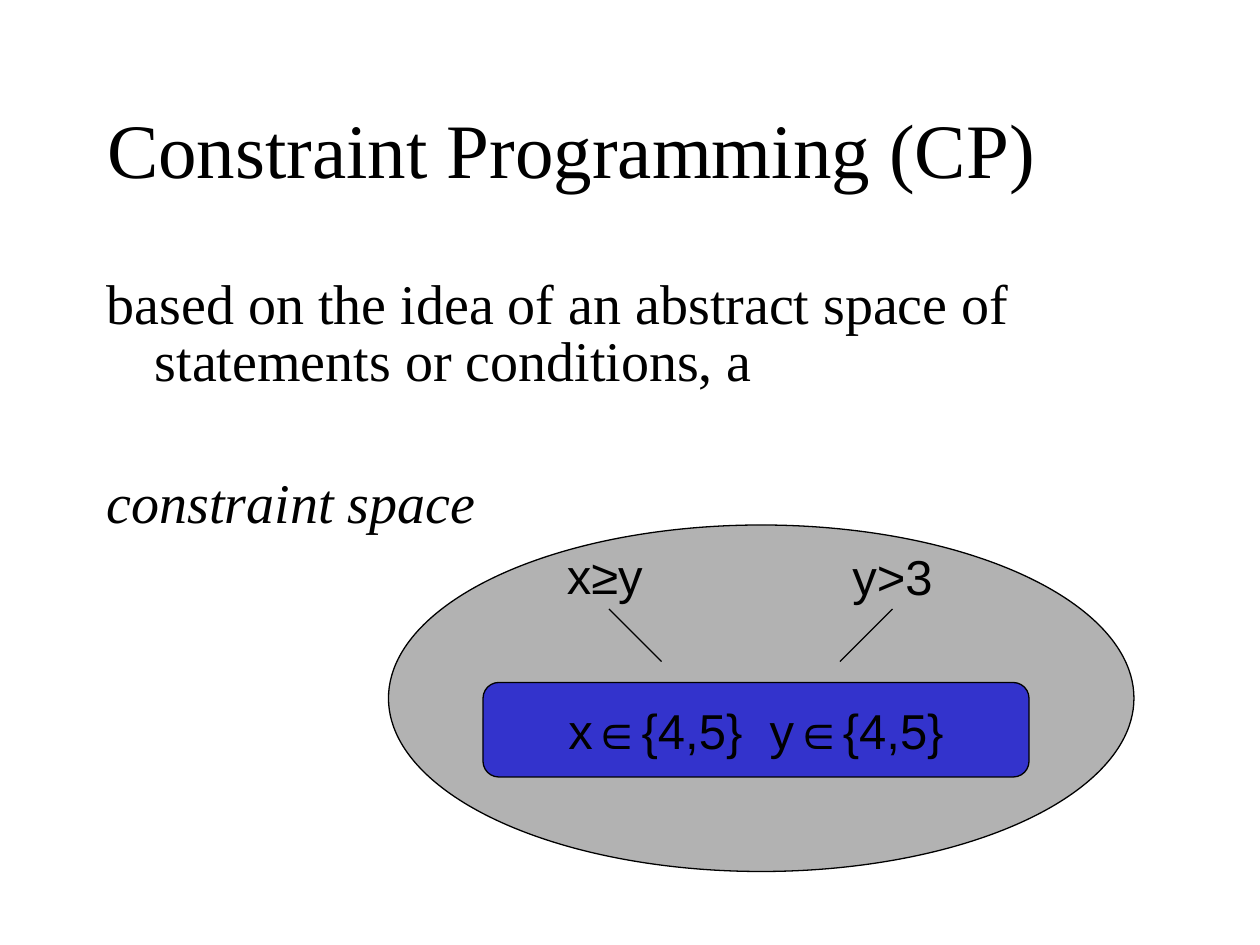
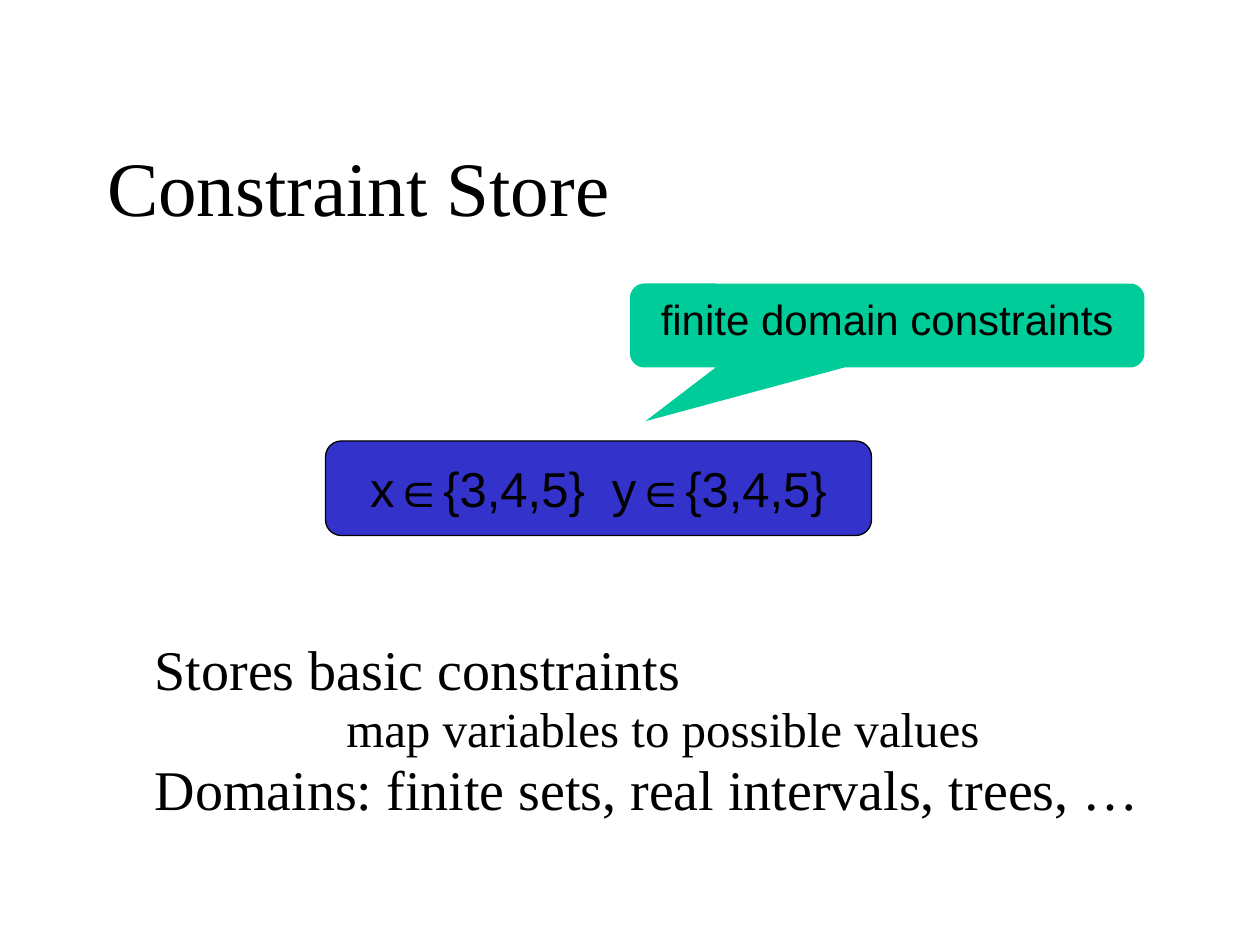
from pptx import Presentation
from pptx.dml.color import RGBColor
from pptx.enum.shapes import MSO_CONNECTOR, MSO_SHAPE
from pptx.enum.text import MSO_ANCHOR, MSO_AUTO_SIZE, PP_ALIGN
from pptx.oxml.ns import qn
from pptx.util import Inches, Pt
from lxml import etree

LINE = MSO_CONNECTOR.STRAIGHT
OVAL = MSO_SHAPE.OVAL
ROUND = MSO_SHAPE.ROUNDED_RECTANGLE
BUBBLE = MSO_SHAPE.ROUNDED_RECTANGULAR_CALLOUT
MIDDLE, TOP = MSO_ANCHOR.MIDDLE, MSO_ANCHOR.TOP
LEFT, CENTER = PP_ALIGN.LEFT, PP_ALIGN.CENTER
FIXED = MSO_AUTO_SIZE.NONE

# Shared look
SERIF, SANS = "Times New Roman", "Arial"
BLACK, GREY, BLUE, GREEN = "000000", "B2B2B2", "3333CC", "00CC99"
EDGE, SPAN = 9, 102  # text column, in grid cells
STEP = 0.38  # indent in inches
TITLE_ONLY = 5


def color(code):
    return RGBColor.from_string(code)


def cells(*counts):
    """Turn counts of grid cells, twelve to the inch, into lengths."""
    return [Inches(count / 12) for count in counts]


def style(para, size, font, align=LEFT, italic=False):
    para.alignment = align
    for run in para.runs:
        run.font.size = Pt(size)
        run.font.name = font
        run.font.italic = italic
        run.font.color.rgb = color(BLACK)


def space(para, before, line):
    para.space_before = Pt(before)
    para.line_spacing = line


def indent(para, left, first=0):
    props = para._p.get_or_add_pPr()
    props.set("marL", str(Inches(left)))
    props.set("indent", str(Inches(first)))


def add_slide(deck, title, top, height):
    slide = deck.slides.add_slide(deck.slide_layouts[TITLE_ONLY])
    head = slide.shapes.title
    head.left, head.top, head.width, head.height = cells(EDGE, top, SPAN, height)
    frame = head.text_frame
    frame.text = title
    frame.auto_size = FIXED
    frame.vertical_anchor = MIDDLE
    para = frame.paragraphs[0]
    style(para, 44, SERIF)
    space(para, 11, 0.85)
    return slide


def add_body(slide, top, height, line, rows):
    """Each row is text, size, space before, left, first indent, italic."""
    box = slide.shapes.add_textbox(*cells(EDGE, top, SPAN, height))
    frame = box.text_frame
    frame.word_wrap = True
    frame.text = "\n".join(row[0] for row in rows)
    for para, row in zip(frame.paragraphs, rows):
        _, size, before, left, first, italic = row
        style(para, size, SERIF, italic=italic)
        space(para, before, line)
        indent(para, left, first)


def add_shape(shapes, kind, area, fill, edge=True):
    shape = shapes.add_shape(kind, *cells(*area))
    shape.shadow.inherit = False
    shape.fill.solid()
    shape.fill.fore_color.rgb = color(fill)
    if edge:
        shape.line.color.rgb = color(BLACK)
        shape.line.width = Pt(0.75)
    else:
        shape.line.fill.background()
    return shape


def add_label(shape, text, size, align=CENTER, anchor=MIDDLE, wrap=False):
    frame = shape.text_frame
    frame.text = text
    frame.word_wrap = wrap
    frame.vertical_anchor = anchor
    style(frame.paragraphs[0], size, SANS, align)


def add_store(shapes, left, top, text):
    store = add_shape(shapes, ROUND, (left, top, 52, 9), BLUE)
    add_label(store, text, 28)


def add_term(shapes, area, text):
    add_label(shapes.add_textbox(*cells(*area)), text, 28, LEFT, TOP)


def add_line(shapes, *ends):
    line = shapes.add_connector(LINE, *cells(*ends))
    line.line.color.rgb = color(BLACK)
    line.line.width = Pt(0.75)
    etree.SubElement(line._element.spPr, qn("a:effectLst"))


def add_space(slide):
    """Draw the constraint space with two terms linked to its store."""
    shapes = slide.shapes.add_group_shape().shapes
    add_shape(shapes, OVAL, (37, 50, 71, 33), GREY)
    add_store(shapes, 46, 65, "x∈{4,5}  y∈{4,5}")
    add_term(shapes, (52.8, 51.4, 10.7, 6.8), "x≥y")
    add_term(shapes, (80, 51.5, 10, 6.8), "y>3")
    for start, end in ((85, 80), (58, 63)):
        add_line(shapes, start, 58, end, 63)


def add_callout(slide, text):
    bubble = add_shape(slide.shapes, BUBBLE, (60, 27, 49, 8), GREEN, edge=False)
    for spot, value in enumerate((-0.47, 1.14, 0.17)):
        bubble.adjustments[spot] = value
    add_label(bubble, text, 24, anchor=TOP, wrap=True)


def main():
    deck = Presentation()
    deck.slide_width, deck.slide_height = Inches(10), Inches(7.5)

    # Constraint space
    slide = add_slide(deck, "Constraint Programming (CP)", 7.3, 15)
    add_body(slide, 26, 54, 0.85, [
        ("based on the idea of an abstract space of statements or conditions, a",
         32, 8, STEP, -STEP, False),
        ("constraint space", 32, 48, STEP, -STEP, True),
    ])
    add_space(slide)

    # Constraint store
    slide = add_slide(deck, "Constraint Store", 14.4, 7.9)
    add_body(slide, 61.3, 18.6, 0.75, [
        ("Stores basic constraints", 32, 8, STEP, 0, False),
        ("map variables to possible values", 28, 7, 5 * STEP, 0, False),
        ("Domains: finite sets, real intervals, trees, …", 32, 8, STEP, 0, False),
    ])
    add_store(slide.shapes, 31, 42, "x∈{3,4,5}  y∈{3,4,5}")
    add_callout(slide, "finite domain constraints")

    deck.save("out.pptx")


if __name__ == "__main__":
    main()
